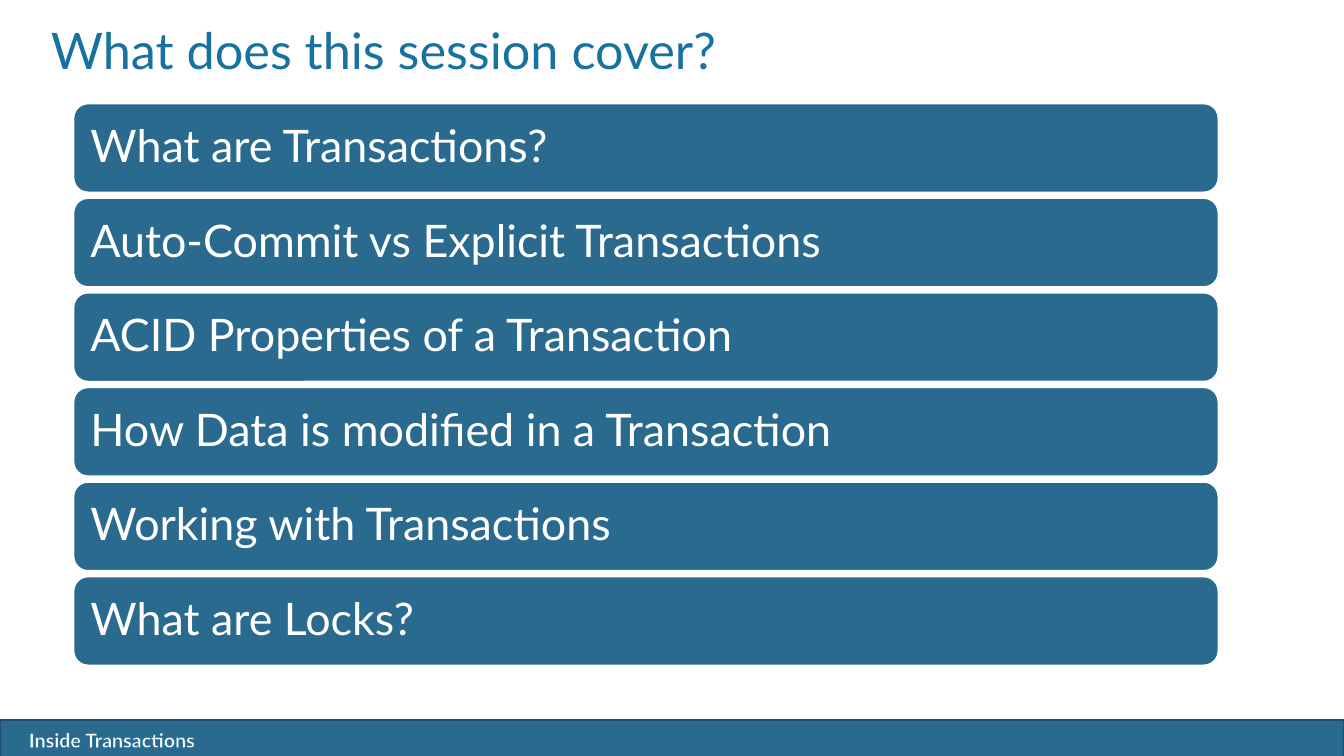
from lxml import etree
from pptx import Presentation
from pptx.dml.color import RGBColor
from pptx.enum.shapes import MSO_SHAPE
from pptx.enum.text import MSO_ANCHOR, PP_ALIGN
from pptx.oxml.ns import qn
from pptx.util import Pt

PX = 914400 / 100.8
RECT, ROUNDED = MSO_SHAPE.RECTANGLE, MSO_SHAPE.ROUNDED_RECTANGLE
MIDDLE, LEFT = MSO_ANCHOR.MIDDLE, PP_ALIGN.LEFT
COLORS = {"bar": "296A8E", "bar edge": "1E4E69", "title": "1872A0", "white": "FFFFFF"}
TOPICS = [
    "What are Transactions?",
    "Auto-Commit vs Explicit Transactions",
    "ACID Properties of a Transaction",
    "How Data is modified in a Transaction",
    "Working with Transactions",
    "What are Locks?",
]
TOPIC_TOP, TOPIC_STEP = 103, 473 / 5


def add_bar(kind, left, top, width, height, edge):
    bar = slide.shapes.add_shape(kind, *(round(n * PX) for n in (left, top, width, height)))
    bar.shadow.inherit = False
    bar.fill.solid()
    bar.fill.fore_color.rgb = RGBColor.from_string(COLORS["bar"])
    bar.line.color.rgb = RGBColor.from_string(COLORS[edge])
    bar.line.width = Pt(2)
    return bar


def style_font(font, size, color):
    font.name = "Lato"
    font.size = Pt(size)
    font.color.rgb = RGBColor.from_string(COLORS[color])


prs = Presentation()
prs.slide_width, prs.slide_height = round(1344 * PX), round(756 * PX)
slide = prs.slides.add_slide(prs.slide_layouts[6])

# Footer
add_bar(RECT, 0, 720, 1344, 40, "bar edge")
footer = slide.shapes.add_textbox(*(round(n * PX) for n in (19, 723, 611, 34))).text_frame
footer.word_wrap = True
session_name = footer.paragraphs[0].add_run()
session_name.text = "Inside Transactions"
style_font(session_name.font, 14, "white")
session_name.font.bold = True
outline = etree.Element(qn("a:ln"), w=str(Pt(0.8)))
outline_fill = etree.SubElement(outline, qn("a:solidFill"))
etree.SubElement(outline_fill, qn("a:srgbClr"), val=COLORS["title"])
session_name.font._element.insert(0, outline)

# Title
title = slide.shapes.add_textbox(*(round(n * PX) for n in (41, 26, 1210, 126))).text_frame
title.word_wrap = True
heading = title.paragraphs[0]
heading.text = "What does this session cover?"
heading.line_spacing = Pt(35)
style_font(heading.font, 36, "title")

# Topics
for i, topic in enumerate(TOPICS):
    bar = add_bar(ROUNDED, 73, TOPIC_TOP + i * TOPIC_STEP, 1146, 90, "white")
    frame = bar.text_frame
    frame.word_wrap = True
    frame.vertical_anchor = MIDDLE
    frame.margin_left = frame.margin_right = round(13 * PX)
    frame.margin_top = frame.margin_bottom = round(13 * PX)
    label = frame.paragraphs[0]
    label.text = topic
    label.alignment = LEFT
    label.line_spacing = 0.9
    style_font(label.font, 32, "white")

prs.save("out.pptx")
